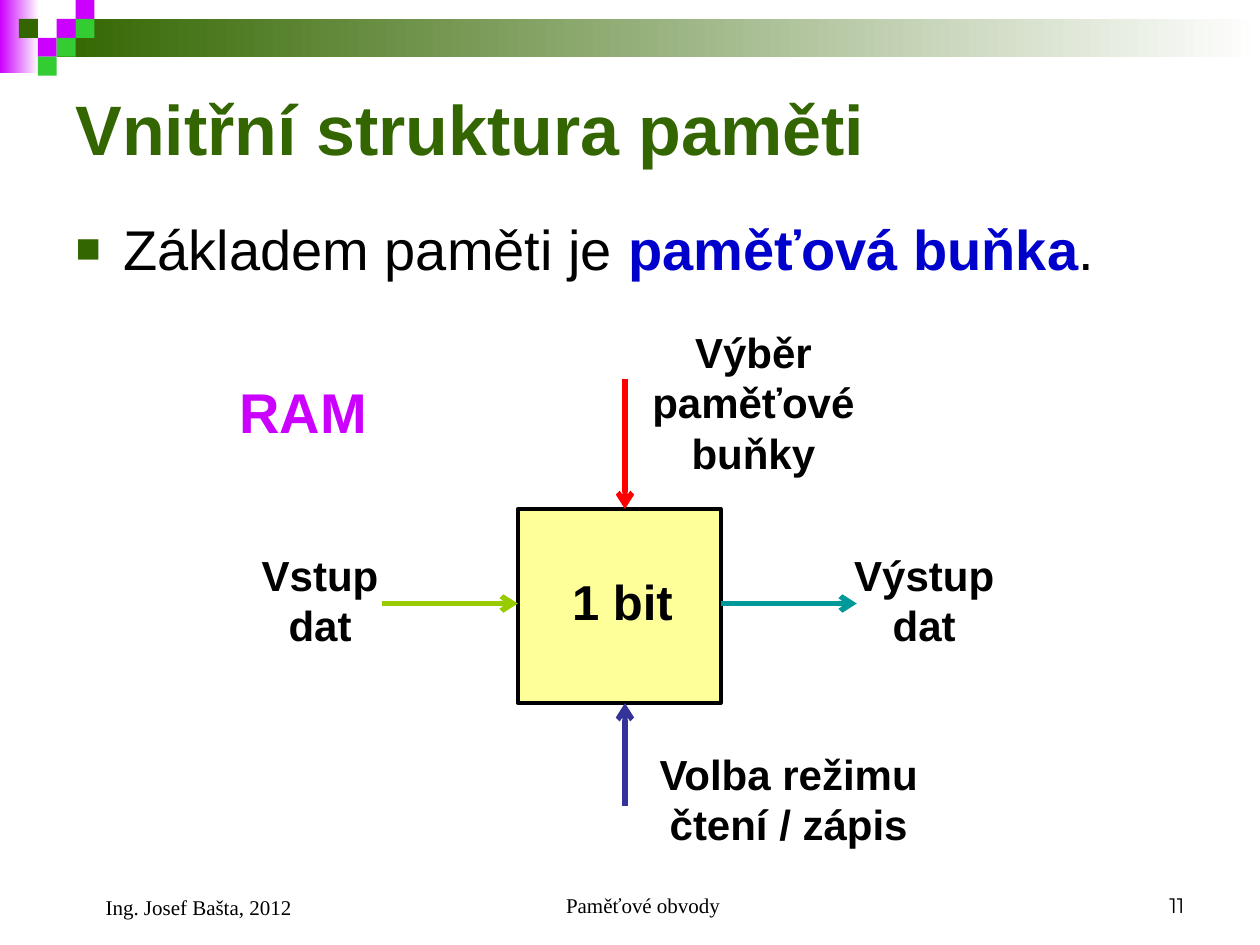
import pptx
import pptx.util
import pptx.dml.color
import pptx.enum.shapes
import pptx.enum.text
import pptx.oxml
import pptx.oxml.ns
import lxml.etree

COLORS = {
    "magenta": "CC00FF", "dark_green": "336600", "green": "33CC33",
    "white": "FFFFFF", "black": "000000", "blue": "0000CC",
    "cell": "FFFF99", "input": "99CC00", "output": "009999",
    "select": "FF0000", "mode": "333399",
}
RGB = {name: pptx.dml.color.RGBColor.from_string(value) for name, value in COLORS.items()}
ALIGN = pptx.enum.text.PP_ALIGN
ANCHOR = pptx.enum.text.MSO_ANCHOR

presentation = pptx.Presentation()
presentation.slide_width = pptx.util.Inches(10)
presentation.slide_height = pptx.util.Inches(7.5)
column = presentation.slide_width / 100
row = presentation.slide_height / 75
slide = presentation.slides.add_slide(presentation.slide_layouts[1])


def grid(left, top, width, height):
    return int(left * column), int(top * row), int(width * column), int(height * row)


def add_label(text, box, size, color="black", font="Arial", bold=True,
              align=ALIGN.CENTER, anchor=ANCHOR.TOP, indent=0):
    shape = slide.shapes.add_textbox(*grid(*box))
    frame = shape.text_frame
    frame.word_wrap = True
    frame.vertical_anchor = anchor
    frame.text = text
    paragraph = frame.paragraphs[0]
    paragraph.alignment = align
    if indent:
        paragraph._p.get_or_add_pPr().set("marL", str(int(indent * column)))
    run_font = paragraph.runs[0].font
    run_font.name, run_font.size, run_font.bold = font, pptx.util.Pt(size), bold
    run_font.color.rgb = RGB[color]


for box, color in [((0, 0, 3.1, 5.8), "magenta"), ((4.5, 1.5, 95.5, 3), "dark_green")]:
    band = slide.shapes.add_shape(pptx.enum.shapes.MSO_SHAPE.RECTANGLE, *grid(*box))
    band.shadow.inherit = False
    band.line.fill.background()
    band.fill.gradient()
    band.fill.gradient_angle = 180
    for stop, name in zip(band.fill.gradient_stops, ["white", color]):
        stop.color.rgb = RGB[name]

tile_size = 1.5
for tile_column, tile_row, color in [
    (3, 1, "magenta"), (4, 0, "magenta"), (4, 1, "green"), (2, 2, "magenta"),
    (1, 1, "dark_green"), (3, 2, "green"), (2, 3, "green"),
]:
    tile = slide.shapes.add_shape(
        pptx.enum.shapes.MSO_SHAPE.RECTANGLE,
        *grid(tile_column * tile_size, tile_row * tile_size, tile_size, tile_size))
    tile.shadow.inherit = False
    tile.line.fill.background()
    tile.fill.solid()
    tile.fill.fore_color.rgb = RGB[color]

title = slide.shapes.title
title.left, title.top, title.width, title.height = grid(5, 5, 90, 10.3)
title.text_frame.text = "Vnitřní struktura paměti"
title.text_frame.auto_size = pptx.enum.text.MSO_AUTO_SIZE.NONE
title.text_frame.vertical_anchor = ANCHOR.MIDDLE
title.text_frame.paragraphs[0].alignment = ALIGN.LEFT
title_font = title.text_frame.paragraphs[0].runs[0].font
title_font.name, title_font.size, title_font.bold = "Arial", pptx.util.Pt(40), True
title_font.color.rgb = RGB["dark_green"]

body = slide.placeholders[1]
body.left, body.top, body.width, body.height = grid(5, 16.5, 85.1, 8)
body.text_frame.auto_size = pptx.enum.text.MSO_AUTO_SIZE.NONE
paragraph = body.text_frame.paragraphs[0]
paragraph.space_before = pptx.util.Pt(0)
properties = paragraph._p.get_or_add_pPr()
properties.set("marL", str(int(3.8 * column)))
properties.set("indent", str(int(-3.8 * column)))
bullet_color = lxml.etree.SubElement(properties, pptx.oxml.ns.qn("a:buClr"))
lxml.etree.SubElement(bullet_color, pptx.oxml.ns.qn("a:srgbClr"), val=COLORS["dark_green"])
lxml.etree.SubElement(properties, pptx.oxml.ns.qn("a:buSzPct"), val="75000")
lxml.etree.SubElement(properties, pptx.oxml.ns.qn("a:buFont"), typeface="Arial")
lxml.etree.SubElement(properties, pptx.oxml.ns.qn("a:buChar"), char="■")
for text, color, bold in [
    ("Základem paměti je ", "black", False), ("paměťová buňka", "blue", True), (".", "black", False),
]:
    run = paragraph.add_run()
    run.text = text
    run.font.name, run.font.size, run.font.bold = "Arial", pptx.util.Pt(32), bold
    run.font.color.rgb = RGB[color]

cell_left, cell_top, cell_width, cell_height = 41.1, 40.4, 16.1, 15.4
cell_right, cell_bottom = cell_left + cell_width, cell_top + cell_height
cell = slide.shapes.add_shape(
    pptx.enum.shapes.MSO_SHAPE.RECTANGLE, *grid(cell_left, cell_top, cell_width, cell_height))
cell.shadow.inherit = False
cell.fill.solid()
cell.fill.fore_color.rgb = RGB["cell"]
cell.line.color.rgb = RGB["black"]
cell.line.width = pptx.util.Pt(2.25)

axis_x, axis_y, reach = 49.6, 47.9, 10.8
for start_x, start_y, end_x, end_y, color in [
    (cell_left - reach, axis_y, cell_left, axis_y, "input"),
    (cell_right, axis_y, cell_right + reach, axis_y, "output"),
    (axis_x, 30.1, axis_x, cell_top, "select"),
    (axis_x, 64, axis_x, cell_bottom, "mode"),
]:
    arrow = slide.shapes.add_connector(
        pptx.enum.shapes.MSO_CONNECTOR.STRAIGHT,
        int(start_x * column), int(start_y * row), int(end_x * column), int(end_y * row))
    arrow.line.color.rgb = RGB[color]
    arrow.line.width = pptx.util.Pt(3)
    lxml.etree.SubElement(arrow.line._get_or_add_ln(), pptx.oxml.ns.qn("a:tailEnd"), type="arrow")
    lxml.etree.SubElement(arrow._element.spPr, pptx.oxml.ns.qn("a:effectLst"))

for text, box in [
    ("Vstup dat", (18.9, 43.1, 13, 9)),
    ("Výstup dat", (65.3, 43.1, 16.1, 9)),
    ("Volba režimu čtení / zápis", (50.8, 58.9, 23.6, 9)),
    ("Výběr paměťové buňky", (48, 25.4, 23.6, 13)),
]:
    add_label(text, box, 24)
add_label("1 bit", (42.9, 44.9, 13, 5.7), 28)
add_label("RAM", (18, 29.5, 12.5, 6.4), 32, "magenta", align=ALIGN.LEFT)

for text, box, font, align, indent in [
    ("Paměťové obvody ", (34.2, 68.3, 31.7, 5), "Times New Roman", ALIGN.CENTER, 2.4),
    ("11", (71.7, 68.3, 23.3, 5), "Montserrat", ALIGN.RIGHT, 0),
    ("Ing. Josef Bašta, 2012", (5, 68.3, 23.3, 5.2), "Times New Roman", ALIGN.LEFT, 2.4),
]:
    add_label(text, box, 12, font=font, bold=False, align=align, anchor=ANCHOR.BOTTOM, indent=indent)

presentation.save("out.pptx")
